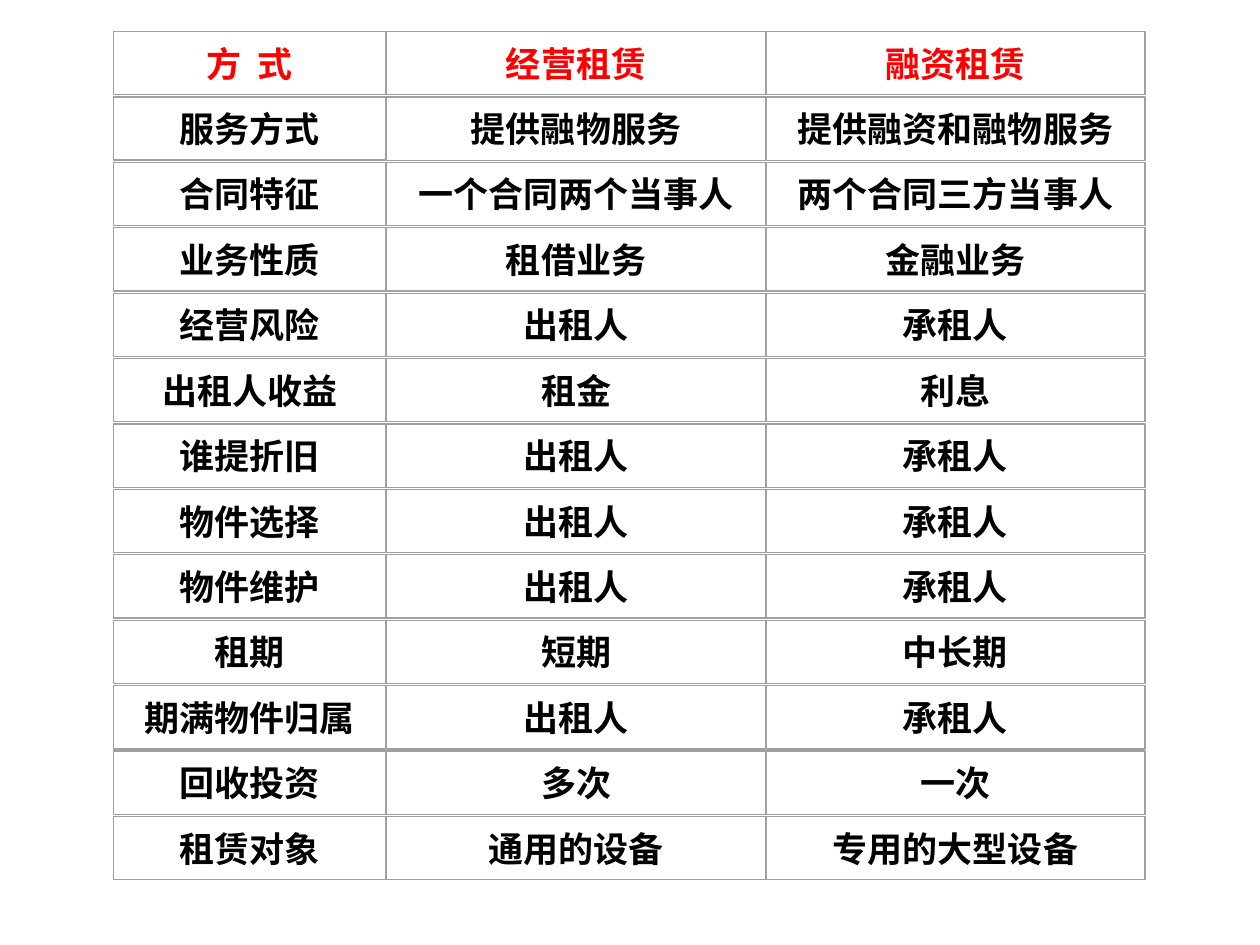
"""Build a slide that compares operating leases with finance leases."""
from lxml import etree
from pptx import Presentation
from pptx.dml.color import RGBColor
from pptx.enum import shapes, text
from pptx.oxml import ns
from pptx.util import Pt

ROWS = [
    ("方  式", "经营租赁", "融资租赁"),
    ("服务方式", "提供融物服务", "提供融资和融物服务"),
    ("合同特征", "一个合同两个当事人", "两个合同三方当事人"),
    ("业务性质", "租借业务", "金融业务"),
    ("经营风险", "出租人", "承租人"),
    ("出租人收益", "租金", "利息"),
    ("谁提折旧", "出租人", "承租人"),
    ("物件选择", "出租人", "承租人"),
    ("物件维护", "出租人", "承租人"),
    ("租期", "短期", "中长期"),
    ("期满物件归属", "出租人", "承租人"),
    ("回收投资", "多次", "一次"),
    ("租赁对象", "通用的设备", "专用的大型设备"),
]
COLS = [(64.9, 155.8), (220.9, 216.6), (437.7, 216.6)]
TOP, PITCH, HIGH = 18, 37.38, 36.2
PAD_X, PAD_Y = 1.5, 0.5
FONT = "Noto Sans CJK SC"
RED, BLACK, GREY = "FF0000", "000000", "A0A0A0"
THICK = (1, 0)


def paint(color, code):
    color.rgb = RGBColor.from_string(code)


def label(slide, words, left, top, width, high, code):
    box = slide.shapes.add_textbox(Pt(left), Pt(top), Pt(width), Pt(high))
    frame = box.text_frame
    frame.word_wrap = True
    frame.vertical_anchor = text.MSO_ANCHOR.MIDDLE
    para = frame.paragraphs[0]
    para.text = words
    para.alignment = text.PP_ALIGN.CENTER
    font = para.font
    font.size, font.bold, font.name = Pt(20), True, FONT
    paint(font.color, code)
    props = para._p.pPr.find(ns.qn("a:defRPr"))
    etree.SubElement(props, ns.qn("a:ea"), typeface=FONT)


def border(slide, left, top, width, high, weight):
    rect = slide.shapes.add_shape(
        shapes.MSO_SHAPE.RECTANGLE, Pt(left), Pt(top), Pt(width), Pt(high))
    rect.shadow.inherit = False
    rect.fill.background()
    paint(rect.line.color, GREY)
    rect.line.width = Pt(weight)


def main():
    deck = Presentation()
    deck.slide_width, deck.slide_height = Pt(720), Pt(540)
    slide = deck.slides.add_slide(deck.slide_layouts[6])
    for row, cells in enumerate(ROWS):
        top = TOP + row * PITCH
        for col, (words, (left, width)) in enumerate(zip(cells, COLS)):
            label(slide, words, left + PAD_X, top + PAD_Y,
                  width - 2 * PAD_X, HIGH - 2 * PAD_Y,
                  BLACK if row else RED)
            border(slide, left, top, width, HIGH,
                   1 if (row, col) == THICK else 0)
    deck.save("out.pptx")


if __name__ == "__main__":
    main()
